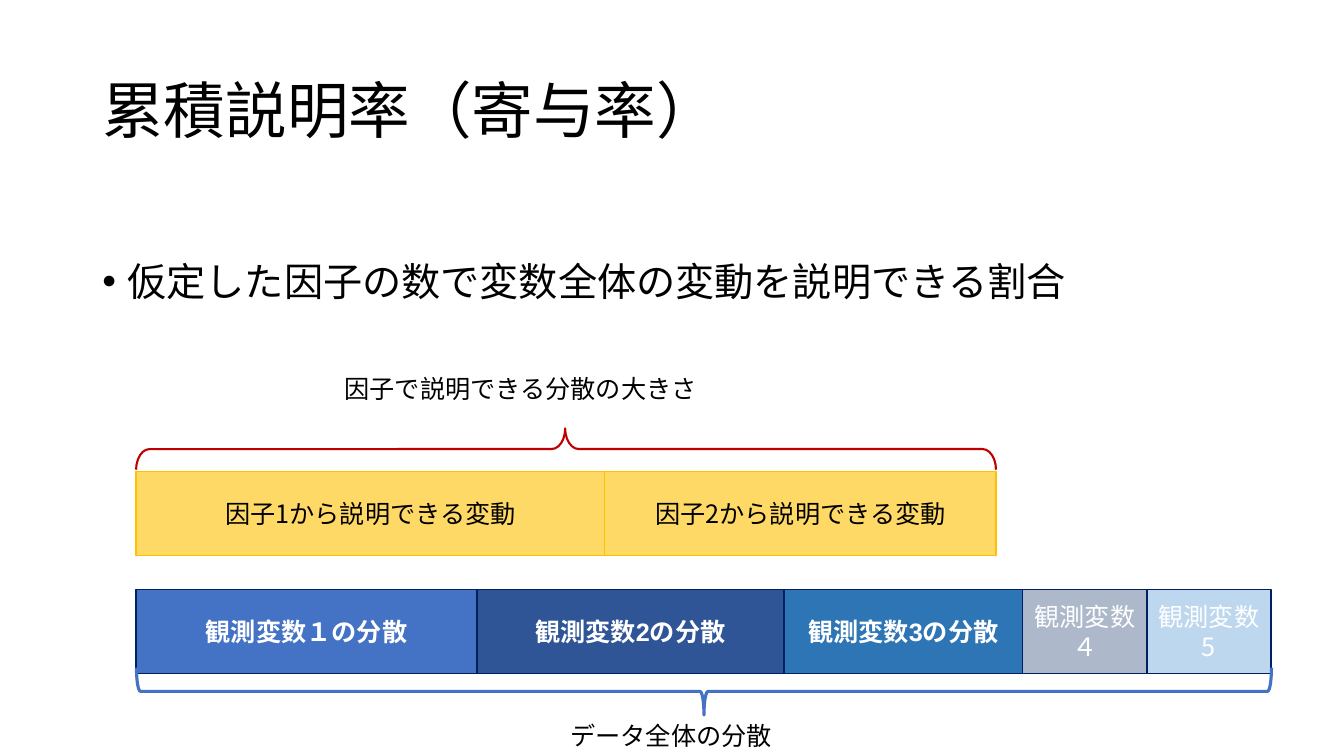
from pptx import Presentation
from pptx.dml.color import RGBColor
from pptx.enum.shapes import MSO_SHAPE as Shape
from pptx.enum.text import MSO_ANCHOR as Anchor, PP_ALIGN as Align
from pptx.oxml.ns import qn
from pptx.util import Pt
from lxml.etree import SubElement

COLORS = {
    "black": "000000", "white": "FFFFFF", "navy": "002060",
    "blue": "4472C4", "dark_blue": "2F5597", "teal": "2E75B6",
    "gray": "ADB9CA", "pale_blue": "BDD7EE",
    "yellow": "FFD966", "gold": "FFC000", "red": "C00000",
}
JAPANESE = "Noto Sans CJK JP"


def color(name):
    return RGBColor.from_string(COLORS[name])


def write(box, text, size, ink="black", font=JAPANESE, bold=False):
    para = box.text_frame.paragraphs[0]
    span = para.add_run()
    span.text = text
    span.font.size = Pt(size)
    span.font.name = font
    span.font.bold = bold
    span.font.color.rgb = color(ink)
    SubElement(span.font._element, qn("a:ea"), typeface=JAPANESE)
    return para


deck = Presentation()
deck.slide_width, deck.slide_height = Pt(960), Pt(540)
page = deck.slides.add_slide(deck.slide_layouts[6])

title = page.shapes.add_textbox(Pt(66), Pt(28.8), Pt(828), Pt(104.4))
title.text_frame.word_wrap = True
title.text_frame.vertical_anchor = Anchor.MIDDLE
write(title, "累積説明率（寄与率）", 44).line_spacing = 0.9

body = page.shapes.add_textbox(Pt(66), Pt(144), Pt(828), Pt(342.7))
body.text_frame.word_wrap = True
body.text_frame.margin_top = Pt(43.5)
para = write(body, "仮定した因子の数で変数全体の変動を説明できる割合", 28)
para.line_spacing = 0.9
properties = para._p.get_or_add_pPr()
properties.set("marL", str(Pt(18)))
properties.set("indent", str(Pt(-18)))
SubElement(properties, qn("a:buFont"), typeface="Arial")
SubElement(properties, qn("a:buChar"), char="•")

labels = [
    ("因子で説明できる分散の大きさ", 239, 262.8, 321.1, True),
    ("データ全体の分散", 400.3, 511.2, 159.8, False),
]
for text, left, top, width, wrap in labels:
    label = page.shapes.add_textbox(Pt(left), Pt(top), Pt(width), Pt(28.8))
    label.text_frame.word_wrap = wrap
    write(label, text, 18)

bars = [
    (421.2, "navy", [
        ("観測変数１の分散", 243.4, "blue", "white", "Arial", True),
        ("観測変数2の分散", 219.4, "dark_blue", "white", "Arial", True),
        ("観測変数3の分散", 170.6, "teal", "white", "Arial", True),
        ("観測変数４", 88.6, "gray", "white", JAPANESE, False),
        ("観測変数5", 88.6, "pale_blue", "white", JAPANESE, False),
    ]),
    (337, "gold", [
        ("因子1から説明できる変動", 334.8, "yellow", "black", JAPANESE, False),
        ("因子2から説明できる変動", 279.4, "yellow", "black", JAPANESE, False),
    ]),
]
for top, outline, segments in bars:
    left = 97.2
    for text, width, fill, ink, font, bold in segments:
        segment = page.shapes.add_shape(
            Shape.RECTANGLE, Pt(left), Pt(top), Pt(width), Pt(59.8))
        segment.shadow.inherit = False
        segment.fill.solid()
        segment.fill.fore_color.rgb = color(fill)
        segment.line.color.rgb = color(outline)
        segment.line.width = Pt(1)
        segment.text_frame.word_wrap = True
        segment.text_frame.vertical_anchor = Anchor.MIDDLE
        write(segment, text, 18, ink, font, bold).alignment = Align.CENTER
        left += width

braces = [
    (Shape.RIGHT_BRACE, 97.5, 477, 810.7, 33.8, "blue", 2.25, (0.083, 0.5)),
    (Shape.LEFT_BRACE, 97.2, 306, 614.2, 29.5, "red", 1.5, (0.327, 0.501)),
]
for kind, left, top, length, depth, ink, weight, bends in braces:
    shift = (length - depth) / 2
    brace = page.shapes.add_shape(
        kind, Pt(left + shift), Pt(top - shift), Pt(depth), Pt(length))
    brace.rotation = 90
    brace.shadow.inherit = False
    brace.fill.background()
    brace.line.color.rgb = color(ink)
    brace.line.width = Pt(weight)
    for index, bend in enumerate(bends):
        brace.adjustments[index] = bend

deck.save("out.pptx")
